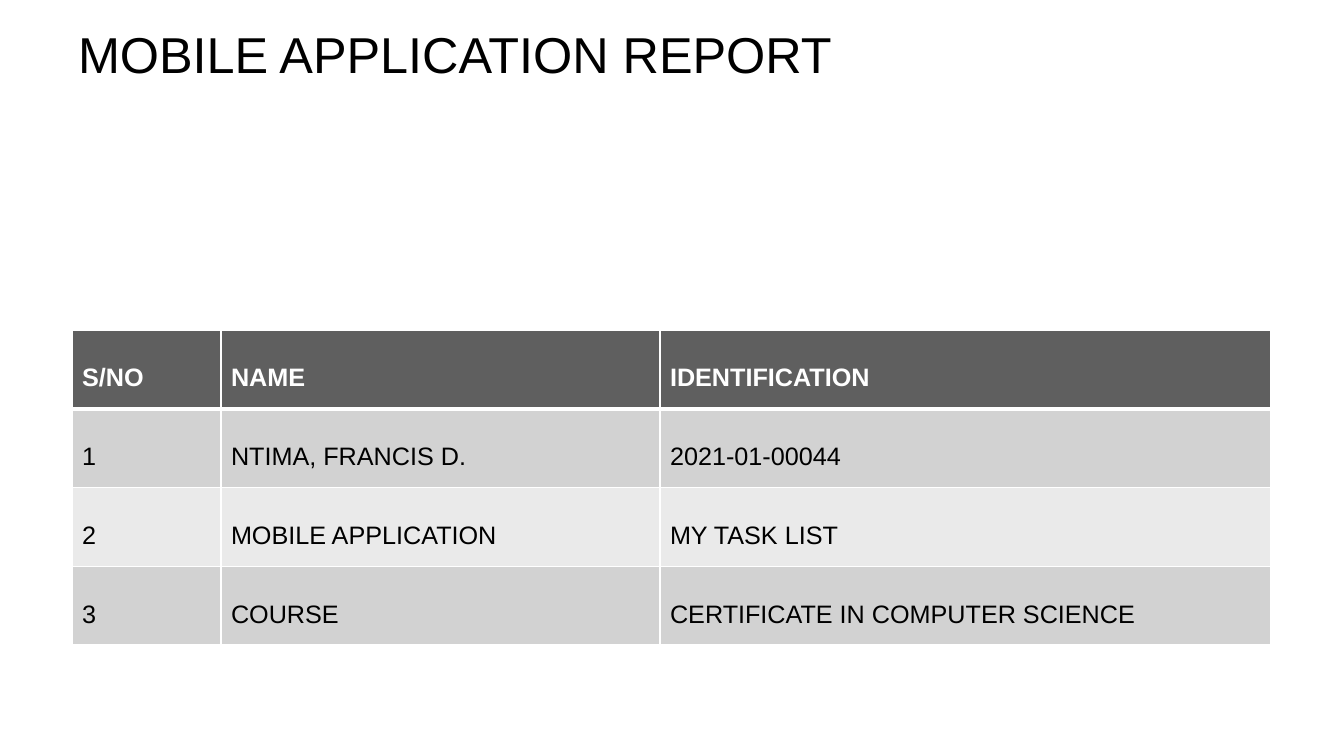
from dataclasses import dataclass

from lxml.etree import SubElement
from pptx import Presentation
from pptx.dml.color import RGBColor
from pptx.enum.text import MSO_ANCHOR as Anchor, PP_ALIGN as Align
from pptx.oxml.ns import qn
from pptx.util import Emu, Pt

SCALE = 12192000 / 1344


@dataclass(frozen=True)
class Theme:
    """Hold the colours, font and sizes of the report."""
    font: str = "Arial"
    title_size: int = 36
    table_size: int = 18
    ink: str = "000000"
    white: str = "FFFFFF"
    header: str = "5F5F5F"
    bands: tuple = ("D2D2D2", "EAEAEA")
    rule: int = 1
    header_rule: int = 3


THEME = Theme()
COLUMN_WIDTHS = (149, 439, 611)
ROWS = (
    ("S/NO", "NAME", "IDENTIFICATION"),
    ("1", "NTIMA, FRANCIS D.", "2021-01-00044"),
    ("2", "MOBILE APPLICATION", "MY TASK LIST"),
    ("3", "COURSE", "CERTIFICATE IN COMPUTER SCIENCE"),
)


def px(length):
    """Turn pixels into EMU."""
    return Emu(round(length * SCALE))


def write(frame, text, size, color=THEME.ink, bold=False):
    """Write one left-aligned formatted paragraph."""
    para = frame.paragraphs[0]
    para.alignment = Align.LEFT
    span = para.add_run()
    span.text = text
    span.font.name = THEME.font
    span.font.size = Pt(size)
    span.font.bold = bold
    span.font.color.rgb = RGBColor.from_string(color)


def draw_borders(cell, **widths):
    """Draw white borders of the given widths around a cell."""
    properties = cell._tc.get_or_add_tcPr()
    for index, side in enumerate("LRTB"):
        width = widths.get(side, THEME.rule)
        line = SubElement(properties, qn(f"a:ln{side}"), w=str(Pt(width)))
        fill = SubElement(line, qn("a:solidFill"))
        SubElement(fill, qn("a:srgbClr"), val=THEME.white)
        properties.insert(index, line)


def add_title(page, box, text):
    """Place the title placeholder in its box."""
    title = page.shapes.title
    title.left, title.top, title.width, title.height = map(px, box)
    title.text_frame.vertical_anchor = Anchor.MIDDLE
    write(title.text_frame, text, THEME.title_size)


def format_cell(cell, text, row):
    """Fill, border and write one cell according to its row."""
    is_header = row == 0
    cell.fill.solid()
    color = THEME.header if is_header else THEME.bands[(row - 1) % 2]
    cell.fill.fore_color.rgb = RGBColor.from_string(color)
    cell.vertical_anchor = Anchor.TOP
    cell.margin_top = px(34)
    draw_borders(cell, T=THEME.header_rule if row == 1 else THEME.rule,
                 B=THEME.header_rule if is_header else THEME.rule)
    write(cell.text_frame, text, THEME.table_size, bold=is_header,
          color=THEME.white if is_header else THEME.ink)


def add_report_table(page, box, rows, widths):
    """Place the report table with equal rows in its box."""
    table = page.shapes.add_table(len(rows), len(widths), *map(px, box)).table
    for column, width in zip(table.columns, widths):
        column.width = px(width)
    for row, texts in enumerate(rows):
        table.rows[row].height = px(box[3] / len(rows))
        for column, text in enumerate(texts):
            format_cell(table.cell(row, column), text, row)


def main():
    """Build and save the report slide."""
    deck = Presentation()
    deck.slide_width, deck.slide_height = px(1344), px(756)
    page = deck.slides.add_slide(deck.slide_layouts[5])
    add_title(page, (68, 21, 1210, 65), "MOBILE APPLICATION REPORT")
    add_report_table(page, (72, 330, sum(COLUMN_WIDTHS), 315), ROWS, COLUMN_WIDTHS)
    deck.save("out.pptx")


main()
